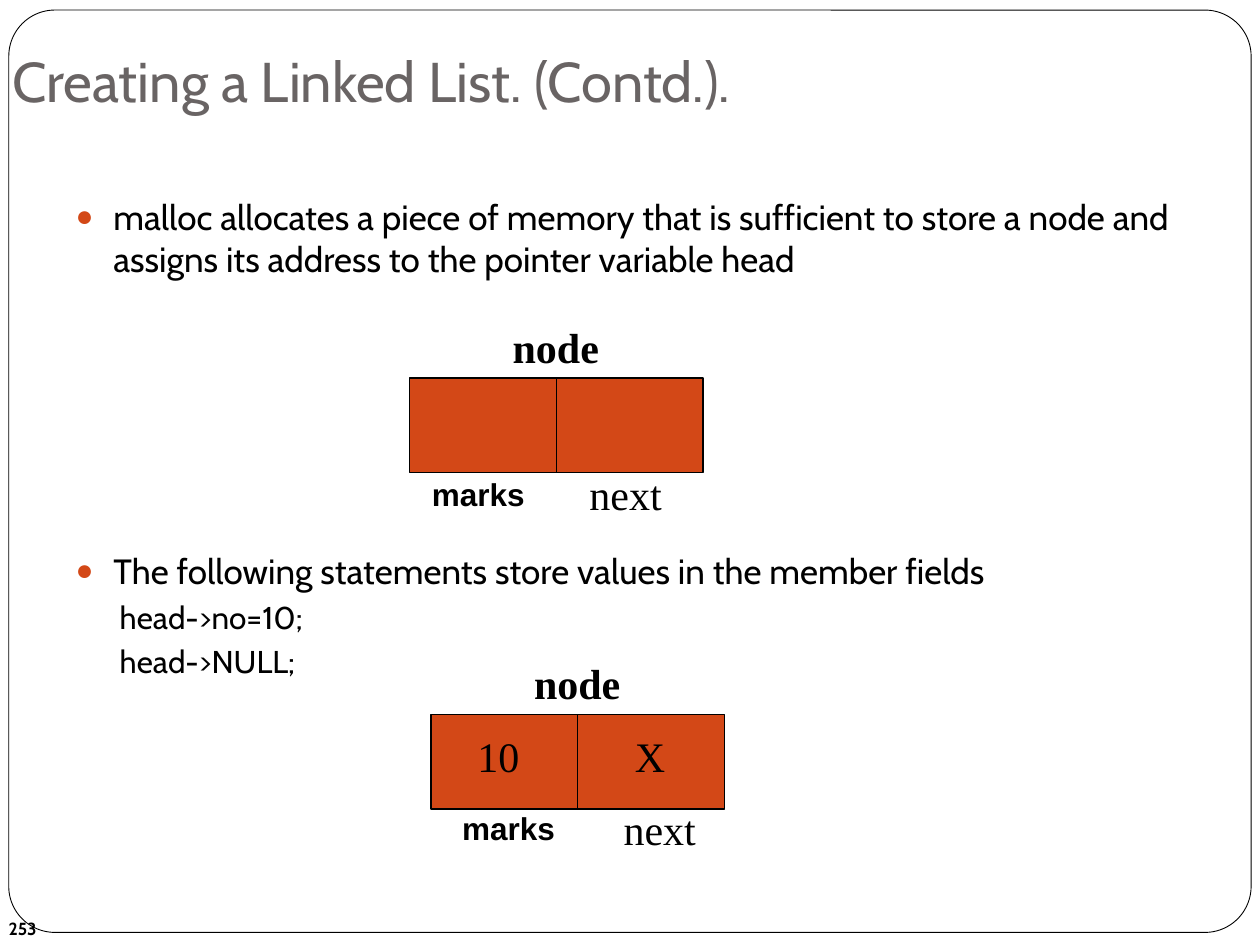
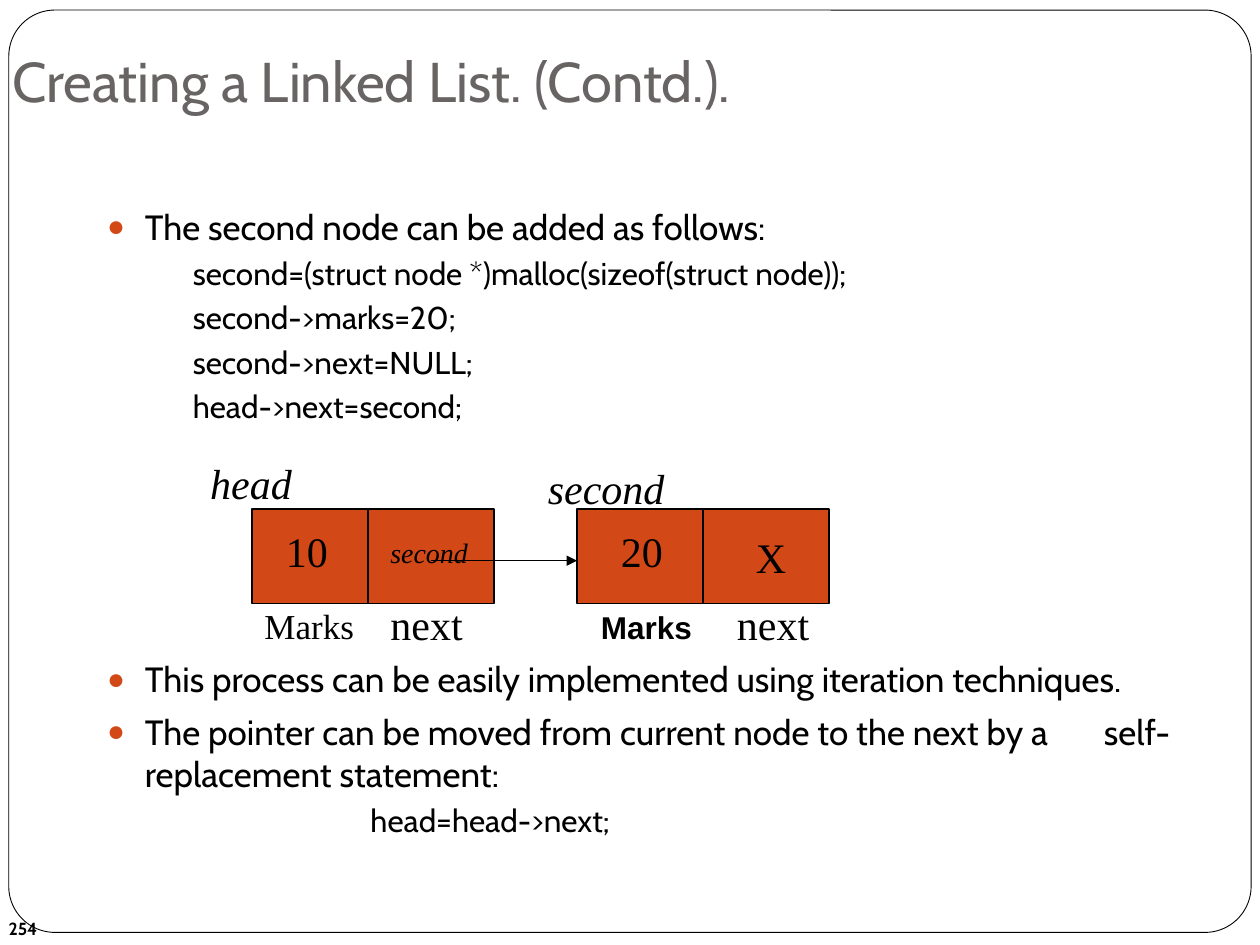
from dataclasses import dataclass

from lxml.etree import SubElement
from pptx import Presentation
from pptx.dml.color import RGBColor
from pptx.enum.shapes import MSO_CONNECTOR, MSO_SHAPE
from pptx.enum.text import MSO_ANCHOR, MSO_AUTO_SIZE, PP_ALIGN
from pptx.oxml.ns import qn
from pptx.shapes.connector import Connector
from pptx.slide import Slide, SlideLayout
from pptx.text.text import _Paragraph as Para, _Run as Run
from pptx.util import Inches, Pt

INK = "000000"
PAPER = "FFFFFF"
GREY = "696464"
RUST = "D34817"
SANS = "Cabin"
SERIF = "Times New Roman"
BOLD = "Arial"
HEIGHT = 0.75
TITLE = "Creating a Linked List. (Contd.)."


@dataclass
class Line:
    text: str
    bullet: bool = True
    indent: float = 0.3
    before: float = 5.8
    wide: str = ""


@dataclass
class Label:
    text: str
    left: float
    top: float
    width: float
    size: float = 24
    font: str = SERIF
    bold: bool = False
    slant: bool = False


@dataclass
class Node:
    left: float
    top: float
    width: float
    split: float


@dataclass
class Arrow:
    left: float
    right: float
    top: float


@dataclass
class Page:
    number: str
    box: tuple[float, float, float, float]
    lines: list[Line]
    nodes: list[Node]
    labels: list[Label]
    arrows: list[Arrow]


def code(text: str, indent: float = 0.35) -> Line:
    return Line(text, False, indent, 3.8)


def marks(text: str, left: float, top: float) -> Label:
    return Label(text, left, top, 0.95, 18, BOLD, True)


def link(left: float, top: float) -> Label:
    return Label("next", left, top, 0.85)


PAGES = [
    Page(
        "253",
        (0.5, 1.5, 9, 5.5),
        [
            Line("malloc allocates a piece of memory that is sufficient to store a node "
                 "and assigns its address to the pointer variable head"),
            Line("The following statements store values in the member fields", before=154.3),
            code("head->no=10;"),
            code("head->NULL;"),
        ],
        [Node(3.25, 3, 2.33, 1.165), Node(3.42, 5.67, 2.33, 1.165)],
        [
            Label("node", 3.97, 2.5, 0.95, bold=True),
            marks("marks", 3.33, 3.72),
            link(4.58, 3.67),
            Label("node", 4.14, 5.17, 0.95, bold=True),
            Label("10", 3.69, 5.75, 0.6),
            Label("X", 4.94, 5.75, 0.5),
            marks("marks", 3.57, 6.37),
            link(4.85, 6.33),
        ],
        [],
    ),
    Page(
        "254",
        (0.75, 1.58, 8.84, 5.67),
        [
            Line("The second node can be added as follows:"),
            code("second=(struct node *)malloc(sizeof(struct node));", 0.68),
            code("second->marks=20;", 0.68),
            code("second->next=NULL;", 0.68),
            code("head->next=second;", 0.68),
            Line("This process can be easily implemented using iteration techniques.",
                 before=133),
            Line("The pointer can be moved from current node to the next by a",
                 wide="self-replacement statement:"),
            code("head=head->next;", 2.09),
        ],
        [Node(2, 4.04, 1.92, 0.92), Node(4.58, 4.04, 2, 1)],
        [
            Label("10", 2.17, 4.12, 0.6),
            Label("20", 4.83, 4.12, 0.6),
            Label("X", 5.9, 4.17, 0.5),
            Label("Marks", 2, 4.75, 0.95, 20),
            link(3, 4.7),
            marks("Marks", 4.67, 4.78),
            link(5.75, 4.7),
            Label("second", 3, 4.2, 0.9, 16, slant=True),
            Label("head", 1.57, 3.58, 0.9, slant=True),
            Label("second", 4.25, 3.62, 1.2, slant=True),
        ],
        [Arrow(3.42, 4.58, 4.45)],
    ),
]


def paint(code: str) -> RGBColor:
    return RGBColor.from_string(code)


def place(shape, left: float, top: float, width: float, height: float) -> None:
    shape.left, shape.top = Inches(left), Inches(top)
    shape.width, shape.height = Inches(width), Inches(height)


def write(para: Para, text: str, size: float, font: str = SANS, tint: str = INK,
          bold: bool = False, slant: bool = False) -> Run:
    run = para.add_run()
    run.text = text
    run.font.size, run.font.name = Pt(size), font
    run.font.bold, run.font.italic = bold, slant
    run.font.color.rgb = paint(tint)
    return run


def mark(para: Para, line: Line) -> None:
    props = para._p.get_or_add_pPr()
    props.set("marL", str(Inches(line.indent)))
    props.set("indent", str(Inches(-line.indent if line.bullet else 0)))
    if not line.bullet:
        SubElement(props, qn("a:buNone"))
        return
    tint = SubElement(props, qn("a:buClr"))
    SubElement(tint, qn("a:srgbClr"), val=RUST)
    SubElement(props, qn("a:buSzPct"), val="85000")
    SubElement(props, qn("a:buChar"), char="●")


def add_box(slide: Slide, kind: MSO_SHAPE, spot: tuple, fill: str, weight: float):
    shape = slide.shapes.add_shape(kind, *map(Inches, spot))
    shape.shadow.inherit = False
    shape.fill.solid()
    shape.fill.fore_color.rgb = paint(fill)
    shape.line.color.rgb = paint(INK)
    shape.line.width = Pt(weight)
    return shape


def add_line(slide: Slide, *ends: float) -> Connector:
    line = slide.shapes.add_connector(MSO_CONNECTOR.STRAIGHT, *map(Inches, ends))
    line.line.color.rgb = paint(INK)
    line.line.width = Pt(0.75)
    SubElement(line._element.spPr, qn("a:effectLst"))
    return line


def add_node(slide: Slide, node: Node) -> None:
    spot = (node.left, node.top, node.width, HEIGHT)
    box = add_box(slide, MSO_SHAPE.RECTANGLE, spot, RUST, 0.75)
    mid = node.left + node.split
    line = add_line(slide, mid, node.top, mid, node.top + HEIGHT)
    if node.split * 2 == node.width:
        line.begin_connect(box, 0)
        line.end_connect(box, 2)


def add_arrow(slide: Slide, arrow: Arrow) -> None:
    line = add_line(slide, arrow.left, arrow.top, arrow.right, arrow.top)
    SubElement(line.line._get_or_add_ln(), qn("a:tailEnd"), type="triangle")


def add_label(slide: Slide, label: Label) -> None:
    height = label.size * 1.2 / 72 + 0.1
    spot = (label.left, label.top, label.width, height)
    frame = slide.shapes.add_textbox(*map(Inches, spot)).text_frame
    frame.word_wrap = True
    frame.auto_size = MSO_AUTO_SIZE.SHAPE_TO_FIT_TEXT
    write(frame.paragraphs[0], label.text, label.size, label.font,
          bold=label.bold, slant=label.slant)


def fill_title(slide: Slide) -> None:
    title = slide.shapes.title
    place(title, 0, 0, 8.27, 1)
    frame = title.text_frame
    frame.auto_size = MSO_AUTO_SIZE.NONE
    frame.vertical_anchor = MSO_ANCHOR.BOTTOM
    frame.margin_bottom = Inches(0.1)
    para = frame.paragraphs[0]
    para.alignment = PP_ALIGN.LEFT
    write(para, TITLE, 32, tint=GREY)


def fill_body(slide: Slide, page: Page) -> None:
    body = slide.placeholders[1]
    place(body, *page.box)
    frame = body.text_frame
    frame.auto_size = MSO_AUTO_SIZE.NONE
    for rank, line in enumerate(page.lines):
        para = frame.add_paragraph() if rank else frame.paragraphs[0]
        para.level = 0 if line.bullet else 1
        para.space_before = Pt(line.before)
        mark(para, line)
        size = 20 if line.bullet else 18
        write(para, line.text, size)
        if line.wide:
            gap = write(para, " ", size)
            gap._r.get_or_add_rPr().set("spc", "2700")
            write(para, line.wide, size)


def add_number(slide: Slide, number: str) -> None:
    spot = (-0.03, 7.17, 2.33, 0.4)
    frame = slide.shapes.add_textbox(*map(Inches, spot)).text_frame
    frame.word_wrap = True
    frame.vertical_anchor = MSO_ANCHOR.MIDDLE
    write(frame.paragraphs[0], number, 10, bold=True)


def add_frame(slide: Slide, layout: SlideLayout) -> None:
    spot = (0.07, 0.08, 9.86, 7.32)
    frame = add_box(slide, MSO_SHAPE.ROUNDED_RECTANGLE, spot, PAPER, 0.5)
    frame.adjustments[0] = 0.05
    layout.shapes.element.append(frame.element)


def main() -> None:
    deck = Presentation()
    deck.slide_width, deck.slide_height = Inches(10), Inches(7.5)
    layout = deck.slide_layouts[1]
    for rank, page in enumerate(PAGES):
        slide = deck.slides.add_slide(layout)
        if rank == 0:
            add_frame(slide, layout)
        add_number(slide, page.number)
        fill_title(slide)
        fill_body(slide, page)
        for node in page.nodes:
            add_node(slide, node)
        for arrow in page.arrows:
            add_arrow(slide, arrow)
        for label in page.labels:
            add_label(slide, label)
    deck.save("out.pptx")


if __name__ == "__main__":
    main()
